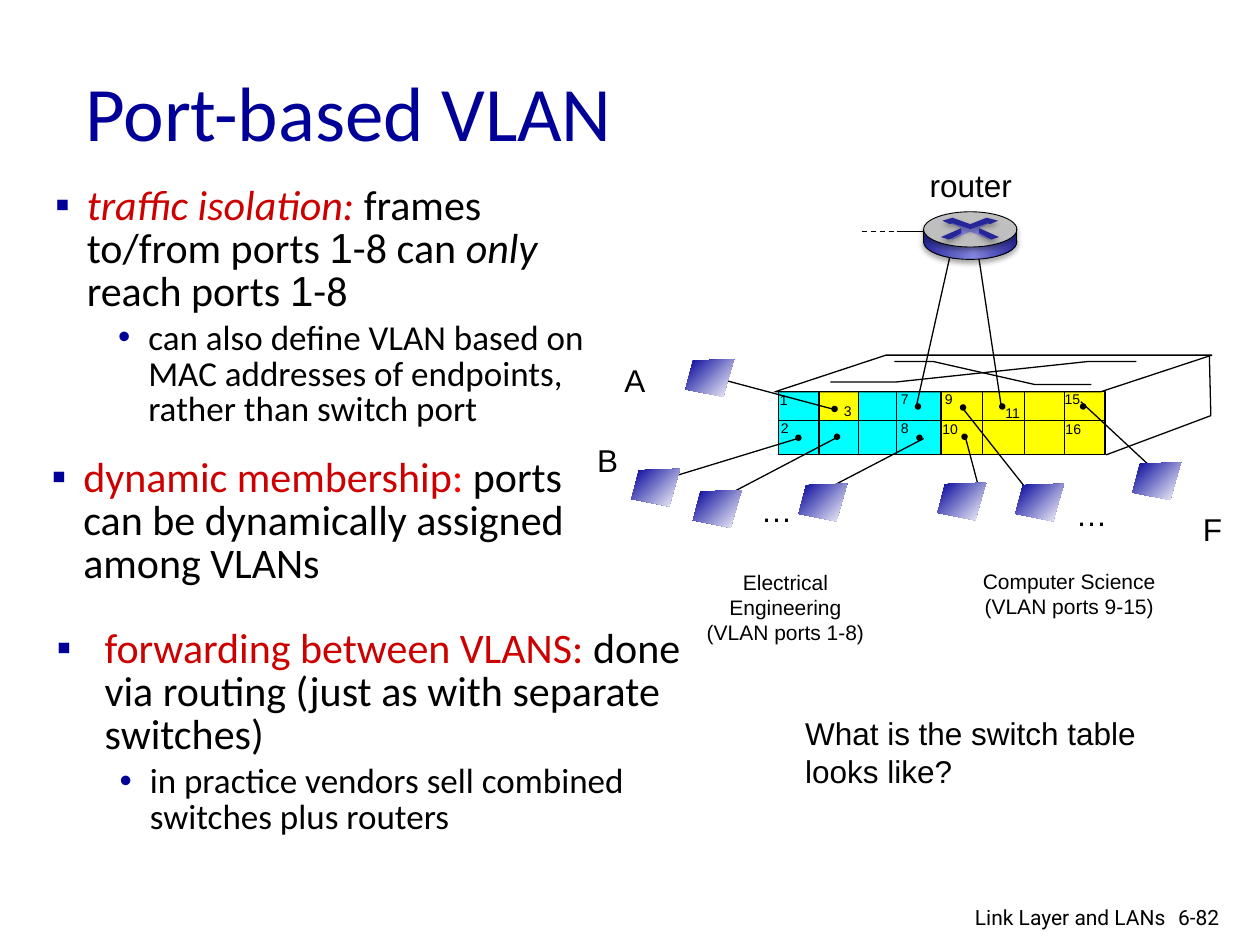
"""Build the slide that explains port-based VLANs on one switch."""
from copy import deepcopy
from dataclasses import dataclass

from lxml.etree import SubElement
from pptx import Presentation
from pptx.dml.color import RGBColor
from pptx.enum.dml import MSO_LINE_DASH_STYLE as Dash
from pptx.enum.shapes import MSO_CONNECTOR as Link, MSO_SHAPE as Shape
from pptx.enum.text import MSO_ANCHOR as Anchor, PP_ALIGN as Align
from pptx.oxml.ns import qn
from pptx.util import Cm, Pt


@dataclass(frozen=True)
class Theme:
    black: str = "000000"
    white: str = "FFFFFF"
    navy: str = "000099"
    red: str = "CC0000"
    bright_red: str = "FF0000"
    cyan: str = "00FFFF"
    yellow: str = "FFFF00"
    grey: str = "BFBFBF"
    router_dark: str = "262699"
    router_light: str = "8585E0"
    heading: int = 44
    body: int = 24
    detail: int = 20
    label: int = 18
    caption: int = 12
    port: int = 8
    text_font: str = "Calibri"
    label_font: str = "Arial"
    footer_font: str = "Roboto"


theme = Theme()


def paint(shape, fill=None, weight=None, shadow=False, angle=0):
    if isinstance(fill, list):
        shape.fill.gradient()
        stop_list = shape.element.spPr.find(".//" + qn("a:gsLst"))
        for _ in fill[2:]:
            stop_list.append(deepcopy(stop_list[0]))
        shape.fill.gradient_angle = angle
        for stop, (position, colour) in zip(shape.fill.gradient_stops, fill):
            stop.position = position
            stop.color.rgb = RGBColor.from_string(colour)
    elif fill:
        shape.fill.solid()
        shape.fill.fore_color.rgb = RGBColor.from_string(fill)
    elif hasattr(shape, "fill"):
        shape.fill.background()
    if weight:
        shape.line.color.rgb = RGBColor.from_string(theme.black)
        shape.line.width = Pt(weight)
    else:
        shape.line.fill.background()
    effects = SubElement(shape.element.spPr, qn("a:effectLst"))
    if shadow:
        outer = SubElement(effects, qn("a:outerShdw"), blurRad=str(Pt(3.1)), dist=str(Pt(1.8)),
                           dir="5400000", rotWithShape="0")
        tone = SubElement(outer, qn("a:srgbClr"), val=theme.black)
        SubElement(tone, qn("a:alpha"), val="35000")


def write(bounds, paragraphs, size, font=theme.label_font, align=Align.LEFT, wrap=True):
    box = page.shapes.add_textbox(*map(Cm, bounds))
    frame = box.text_frame
    frame.word_wrap = wrap
    for index, (bullet, runs) in enumerate(paragraphs):
        para = frame.paragraphs[0] if index == 0 else frame.add_paragraph()
        para.alignment = align
        para_size = size
        if bullet:
            mark, margin, hang, para_size = bullet
            para.line_spacing = 0.85
            para.space_before = Pt(0.2 * para_size if index else 0)
            props = para._p.get_or_add_pPr()
            props.set("marL", str(Cm(margin)))
            props.set("indent", str(-Cm(hang)))
            tone = SubElement(props, qn("a:buClr"))
            SubElement(tone, qn("a:srgbClr"), val=theme.navy)
            SubElement(props, qn("a:buFont"), typeface=theme.label_font)
            SubElement(props, qn("a:buChar"), char=mark)
        for text, colour, italic, run_font in runs:
            span = para.add_run()
            span.text = text
            span.font.size = Pt(para_size)
            span.font.name = run_font or font
            span.font.italic = italic
            span.font.color.rgb = RGBColor.from_string(colour)
    return box


deck = Presentation()
deck.slide_width, deck.slide_height = Cm(25.4), Cm(19.05)
page = deck.slides.add_slide(deck.slide_layouts[6])

title = write((1.47, 0.64, 21.59, 3.18), [(None, [("Port-based VLAN", theme.navy, False, None)])],
              theme.heading, theme.text_font)
title.text_frame.vertical_anchor = Anchor.MIDDLE

point = ("▪", 0.64, 0.64, theme.body)
wide_point = ("▪", 0.97, 0.97, theme.body)
detail = ("•", 1.88, 0.61, theme.detail)
bodies = [
    ((0.86, 3.63, 11.81, 4.9), [
        (point, [("traffic isolation: ", theme.red, True, None),
                 ("frames to/from ports ", theme.black, False, None),
                 ("1", theme.black, False, theme.label_font),
                 ("-8 can ", theme.black, False, None),
                 ("only", theme.black, True, None),
                 (" reach ports ", theme.black, False, None),
                 ("1", theme.black, False, theme.label_font),
                 ("-8", theme.black, False, None)]),
        (detail, [("can also define VLAN based on MAC addresses of endpoints, rather than switch port",
                   theme.black, False, None)])]),
    ((0.79, 9.12, 11.28, 4.47), [
        (point, [("dynamic membership", theme.red, False, None),
                 (":", theme.bright_red, False, None),
                 (" ports can be dynamically assigned among VLANs", theme.black, False, None)])]),
    ((0.89, 12.57, 13.89, 4.47), [
        (wide_point, [("forwarding between VLANS: ", theme.red, False, None),
                      ("done via routing (just as with separate switches)", theme.black, False, None)]),
        (detail, [("in practice vendors sell combined switches plus routers",
                   theme.black, False, None)])]),
]
for bounds, paragraphs in bodies:
    write(bounds, paragraphs, theme.body, theme.text_font)

columns = [15.7, 16.51, 17.3, 18.08, 18.97, 19.81, 20.65, 21.46, 22.28]
top, middle, bottom = 7.9, 8.48, 9.17
port_blocks = [
    (0, 1, top, middle, theme.cyan), (0, 1, middle, bottom, theme.cyan),
    (1, 4, top, bottom, theme.cyan), (4, 7, top, bottom, theme.yellow),
    (7, 8, top, middle, theme.yellow), (7, 8, middle, bottom, theme.yellow),
    (1, 2, top, middle, theme.yellow), (0, 8, top, bottom, None),
]
for first, last, upper, lower, colour in port_blocks:
    left = columns[first]
    block = page.shapes.add_shape(Shape.RECTANGLE, Cm(left), Cm(upper),
                                  Cm(columns[last] - left), Cm(lower - upper))
    paint(block, colour, None if colour else 0.75)

lid = page.shapes.add_shape(Shape.PARALLELOGRAM, Cm(15.62), Cm(7.16), Cm(8.81), Cm(0.74))
lid.adjustments[0] = 3.03
paint(lid, theme.white, 0.75)

dividers = [(x, top, x, bottom) for x in columns[:-1]]
host_links = [
    (16.08, 8.84, 13.59, 9.6), (16.89, 8.81, 14.66, 9.98), (18.62, 8.84, 16.66, 9.86),
    (19.46, 8.81, 19.74, 9.86), (19.43, 8.26, 20.75, 9.93), (21.79, 8.1, 23.24, 9.45),
    (16.84, 8.26, 14.63, 7.67),
]
router_links = [(18.47, 8.2, 19.18, 5.03), (20.19, 8.23, 19.71, 5.05), (18.08, 4.67, 18.8, 4.67)]
uplink = (17.37, 4.67, 18.06, 4.67)
row_line = (columns[0], middle, columns[-1], middle)
for ends in [row_line, *dividers, *host_links, *router_links, uplink]:
    wire = page.shapes.add_connector(Link.STRAIGHT, *map(Cm, ends))
    paint(wire, weight=0.75)
    if ends == uplink:
        wire.line.dash_style = Dash.DASH

for x, y in [(16.03, 8.76), (16.81, 8.74), (18.47, 8.76), (19.38, 8.74), (19.35, 8.15),
             (21.77, 8.13), (18.44, 8.13), (20.14, 8.13), (16.76, 8.18)]:
    paint(page.shapes.add_shape(Shape.OVAL, Cm(x), Cm(y), Cm(0.13), Cm(0.13)), theme.black)

sheen = [(0, theme.router_dark), (0.53, theme.router_light), (1, theme.router_dark)]
for kind, y, height, fill, weight in [(Shape.OVAL, 4.52, 0.71, sheen, 0.5),
                                      (Shape.RECTANGLE, 4.62, 0.25, sheen, None),
                                      (Shape.OVAL, 4.27, 0.71, theme.grey, 0.5)]:
    part = page.shapes.add_shape(kind, Cm(18.62), Cm(y), Cm(1.88), Cm(height))
    paint(part, fill, weight, shadow=weight is not None)

host_shade = [(0, theme.navy), (1, theme.white)]
host_corners = [(0.98, 0), (0.15, 0.03), (0, 0.61), (0.76, 0.76)]
hosts = [(12.73, 9.45), (13.97, 9.88), (16.1, 9.75), (18.9, 9.73), (20.47, 9.75), (22.83, 9.32),
         (13.82, 7.24)]
outlines = [
    ([(22.3, 9.17), (24.41, 8.38), (24.38, 7.16)], None, 0.75, False),
    ([(16.74, 7.7), (18.08, 7.7), (21.92, 7.29), (22.91, 7.29)], None, 0.75, False),
    ([(18.03, 7.29), (18.82, 7.29), (20.85, 7.75), (22, 7.75)], None, 0.75, False),
    ([(19.56, 4.67), (19.2, 4.83), (19.1, 4.8), (19.38, 4.7), (19.38, 4.6), (19.15, 4.5),
      (19.23, 4.5), (19.56, 4.62), (19.89, 4.47), (19.96, 4.5), (19.74, 4.6), (19.79, 4.72),
      (20.02, 4.8), (19.94, 4.83)], theme.router_light, None, False),
    ([(19, 4.45), (19.2, 4.39), (19.56, 4.52), (19.89, 4.39), (20.12, 4.45), (19.96, 4.52),
      (19.91, 4.5), (19.56, 4.62), (19.2, 4.5), (19.15, 4.52)], theme.router_dark, None, True),
    ([(19.74, 4.6), (20.14, 4.78), (19.99, 4.83), (19.74, 4.7)], theme.router_dark, None, True),
    ([(19.38, 4.6), (19.38, 4.7), (19.13, 4.83), (18.97, 4.78)], theme.router_dark, None, True),
]
outlines += [([(x + dx, y + dy) for dx, dy in host_corners], host_shade, None, False) for x, y in hosts]
for points, fill, weight, shadow in outlines:
    start, *rest = [(Cm(x), Cm(y)) for x, y in points]
    builder = page.shapes.build_freeform(*start)
    builder.add_line_segments(rest, close=fill is not None)
    paint(builder.convert_to_shape(), fill, weight, shadow, angle=315)

for x in (18.62, 20.5):
    paint(page.shapes.add_connector(Link.STRAIGHT, Cm(x), Cm(4.9), Cm(x), Cm(4.62)),
          weight=0.5, shadow=True)

port_numbers = [("1", 15.47, 7.77), ("2", 15.49, 8.33), ("3", 16.76, 8), ("7", 17.91, 7.75),
                ("8", 17.91, 8.33), ("9", 18.8, 7.75), ("10", 18.75, 8.36), ("11", 20.02, 8.03),
                ("15", 21.21, 7.75), ("16", 21.23, 8.36)]
labels = [((x, y, 0.48 + 0.18 * len(number), 0.58), [number], theme.port, theme.label_font, Align.LEFT, False)
          for number, x, y in port_numbers]
labels += [((x, y, width, 1.02), [text], theme.label, theme.label_font, Align.LEFT, False)
           for text, x, y, width in [("router", 18.49, 3.23, 2.18), ("…", 15.09, 9.78, 1.14),
                                     ("…", 21.44, 9.86, 1.14), ("A", 12.34, 7.16, 1.02),
                                     ("B", 11.79, 8.76, 1.02), ("F", 24, 10.16, 1.02)]]
labels += [
    ((13.56, 11.35, 4.55, 1.27), ["Electrical Engineering", "(VLAN ports 1-8)"],
     theme.caption, theme.label_font, Align.CENTER, True),
    ((19.56, 11.33, 3.99, 1.27), ["Computer Science", "(VLAN ports 9-15)"],
     theme.caption, theme.label_font, Align.CENTER, False),
    ((15.98, 14.27, 7.67, 1.8), ["What is the switch table looks like?"],
     theme.label, theme.label_font, Align.LEFT, True),
    ((23.5, 18.11, 1.52, 0.76), ["6-82"], theme.caption, theme.footer_font, Align.LEFT, True),
    ((17.7, 18.11, 6.05, 0.66), ["Link Layer and LANs"],
     theme.caption, theme.footer_font, Align.RIGHT, True),
]
for bounds, lines, *style in labels:
    write(bounds, [(None, [(line, theme.black, False, None)]) for line in lines], *style)

deck.save("out.pptx")
